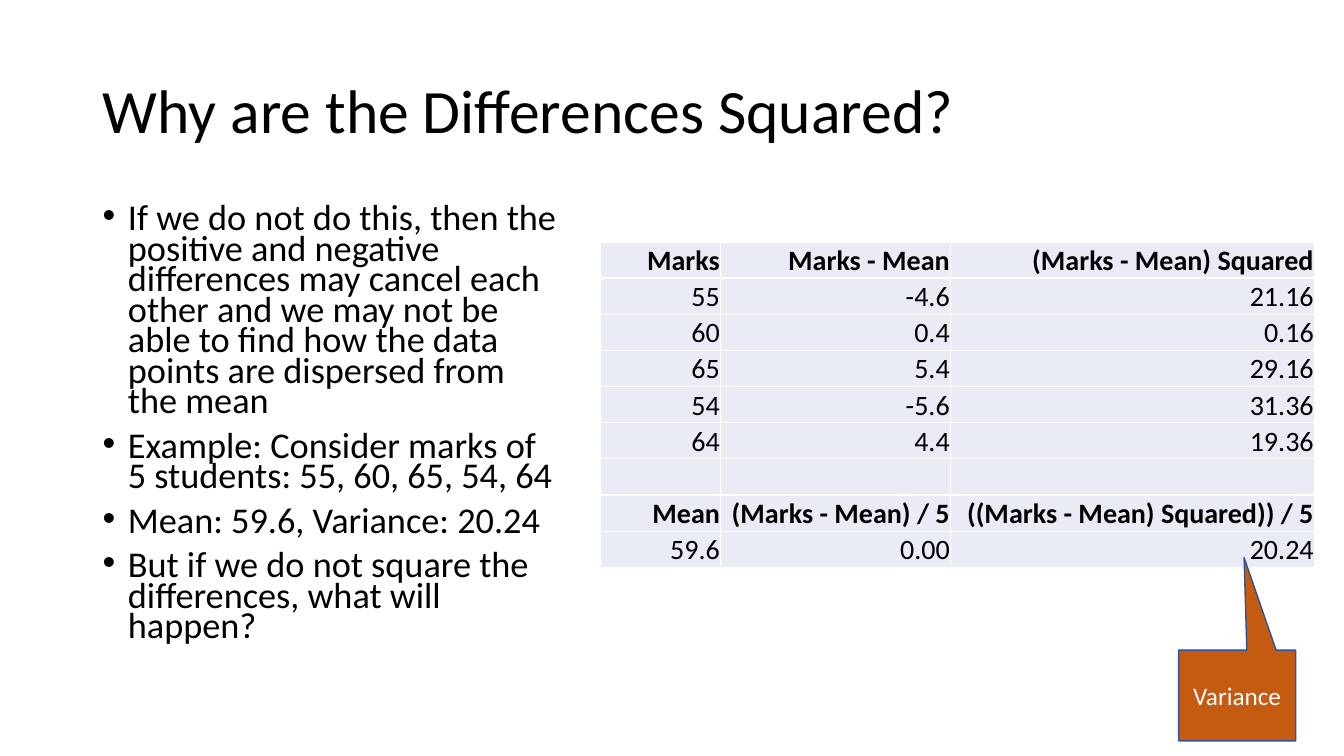
import dataclasses

import lxml.etree
import pptx
import pptx.dml.color
import pptx.enum.shapes
import pptx.enum.text
import pptx.oxml.ns
import pptx.util

EMU_PER_PX = 9144  # 100 px to the inch
FONT = "Calibri"
BLACK = pptx.dml.color.RGBColor(0x00, 0x00, 0x00)
WHITE = pptx.dml.color.RGBColor(0xFF, 0xFF, 0xFF)
CELL_BLUE = pptx.dml.color.RGBColor(0xE9, 0xEB, 0xF5)
CALLOUT_ORANGE = pptx.dml.color.RGBColor(0xC5, 0x5A, 0x11)
CALLOUT_LINE = pptx.dml.color.RGBColor(0x32, 0x54, 0x91)
ALIGN = pptx.enum.text.PP_ALIGN
ANCHOR = pptx.enum.text.MSO_ANCHOR


@dataclasses.dataclass(frozen=True)
class Box:
    left: int
    top: int
    width: int
    height: int

    def emu(self) -> tuple:
        return tuple(px(length) for length in dataclasses.astuple(self))


@dataclasses.dataclass(frozen=True)
class TableRow:
    texts: tuple
    bold: bool = False


TITLE_BOX = Box(92, 40, 1150, 145)
BULLETS_BOX = Box(92, 200, 472, 476)
TABLE_BOX = Box(595, 240, 709, 323)
CALLOUT_BOX = Box(1169, 645, 116, 90)
COLUMN_WIDTHS = (120, 228, 361)

BULLETS = (
    "If we do not do this, then the positive and negative differences may cancel "
    "each other and we may not be able to find how the data points are dispersed "
    "from the mean",
    "Example: Consider marks of 5 students: 55, 60, 65, 54, 64",
    "Mean: 59.6, Variance: 20.24",
    "But if we do not square the differences, what will happen?",
)
ROWS = (
    TableRow(("Marks", "Marks - Mean", "(Marks - Mean) Squared"), bold=True),
    TableRow(("55", "-4.6", "21.16")),
    TableRow(("60", "0.4", "0.16")),
    TableRow(("65", "5.4", "29.16")),
    TableRow(("54", "-5.6", "31.36")),
    TableRow(("64", "4.4", "19.36")),
    TableRow(("", "", "")),
    TableRow(("Mean", "(Marks - Mean) / 5", "((Marks - Mean) Squared)) / 5"), bold=True),
    TableRow(("59.6", "0.00", "20.24")),
)


def px(length: int) -> pptx.util.Emu:
    return pptx.util.Emu(length * EMU_PER_PX)


def write(para, text: str, *, size: float, color=BLACK, bold: bool = False,
          align=ALIGN.LEFT, spacing: float = 1.0, before: int = 0) -> None:
    """Put text in a paragraph with the given format."""
    para.alignment = align
    para.line_spacing = spacing
    para.space_before = pptx.util.Pt(before)
    if not text:
        return
    span = para.add_run()
    span.text = text
    span.font.name = FONT
    span.font.size = pptx.util.Pt(size)
    span.font.bold = bold
    span.font.color.rgb = color


def add_bullet(para) -> None:
    properties = para._p.get_or_add_pPr()
    properties.set("marL", str(px(25)))
    properties.set("indent", str(px(-25)))
    for tag, key, value in (("a:buFont", "typeface", "Arial"), ("a:buChar", "char", "•")):
        lxml.etree.SubElement(properties, pptx.oxml.ns.qn(tag)).set(key, value)


def add_borders(cell, color) -> None:
    properties = cell._tc.get_or_add_tcPr()
    for side in ("a:lnL", "a:lnR", "a:lnT", "a:lnB"):
        line = lxml.etree.SubElement(properties, pptx.oxml.ns.qn(side))
        line.set("w", str(pptx.util.Pt(1)))
        fill = lxml.etree.SubElement(line, pptx.oxml.ns.qn("a:solidFill"))
        lxml.etree.SubElement(fill, pptx.oxml.ns.qn("a:srgbClr")).set("val", str(color))


def draw_title(page) -> None:
    title = page.shapes.title
    title.left, title.top, title.width, title.height = TITLE_BOX.emu()
    frame = title.text_frame
    frame.auto_size = pptx.enum.text.MSO_AUTO_SIZE.NONE
    frame.vertical_anchor = ANCHOR.MIDDLE
    write(frame.paragraphs[0], "Why are the Differences Squared?", size=44, spacing=0.9)


def draw_bullets(page) -> None:
    frame = page.shapes.add_textbox(*BULLETS_BOX.emu()).text_frame
    frame.word_wrap = True
    for index, text in enumerate(BULLETS):
        para = frame.add_paragraph() if index else frame.paragraphs[0]
        write(para, text, size=25.9, spacing=0.7, before=10)
        add_bullet(para)


def draw_table(page) -> None:
    table = page.shapes.add_table(len(ROWS), len(COLUMN_WIDTHS), *TABLE_BOX.emu()).table
    table.first_row = False
    table.horz_banding = False
    for column, width in zip(table.columns, COLUMN_WIDTHS):
        column.width = px(width)
    for table_row, row in zip(table.rows, ROWS):
        for cell, text in zip(table_row.cells, row.texts):
            cell.margin_left = cell.margin_right = cell.margin_top = px(1)
            cell.margin_bottom = 0
            cell.vertical_anchor = ANCHOR.BOTTOM
            add_borders(cell, WHITE)
            cell.fill.solid()
            cell.fill.fore_color.rgb = CELL_BLUE
            write(cell.text_frame.paragraphs[0], text, size=20, bold=row.bold,
                  align=ALIGN.RIGHT)


def draw_callout(page) -> None:
    kind = pptx.enum.shapes.MSO_SHAPE.RECTANGULAR_CALLOUT
    callout = page.shapes.add_shape(kind, *CALLOUT_BOX.emu())
    callout.adjustments[0] = 0.06
    callout.adjustments[1] = -1.52
    callout.shadow.inherit = False
    callout.fill.solid()
    callout.fill.fore_color.rgb = CALLOUT_ORANGE
    callout.line.color.rgb = CALLOUT_LINE
    callout.line.width = pptx.util.Pt(1)
    callout.text_frame.vertical_anchor = ANCHOR.MIDDLE
    write(callout.text_frame.paragraphs[0], "Variance", size=18, color=WHITE,
          align=ALIGN.CENTER)


def main() -> None:
    deck = pptx.Presentation()
    deck.slide_width, deck.slide_height = px(1333), px(750)
    page = deck.slides.add_slide(deck.slide_layouts.get_by_name("Title Only"))
    draw_title(page)
    draw_bullets(page)
    draw_table(page)
    draw_callout(page)
    deck.save("out.pptx")


if __name__ == "__main__":
    main()
